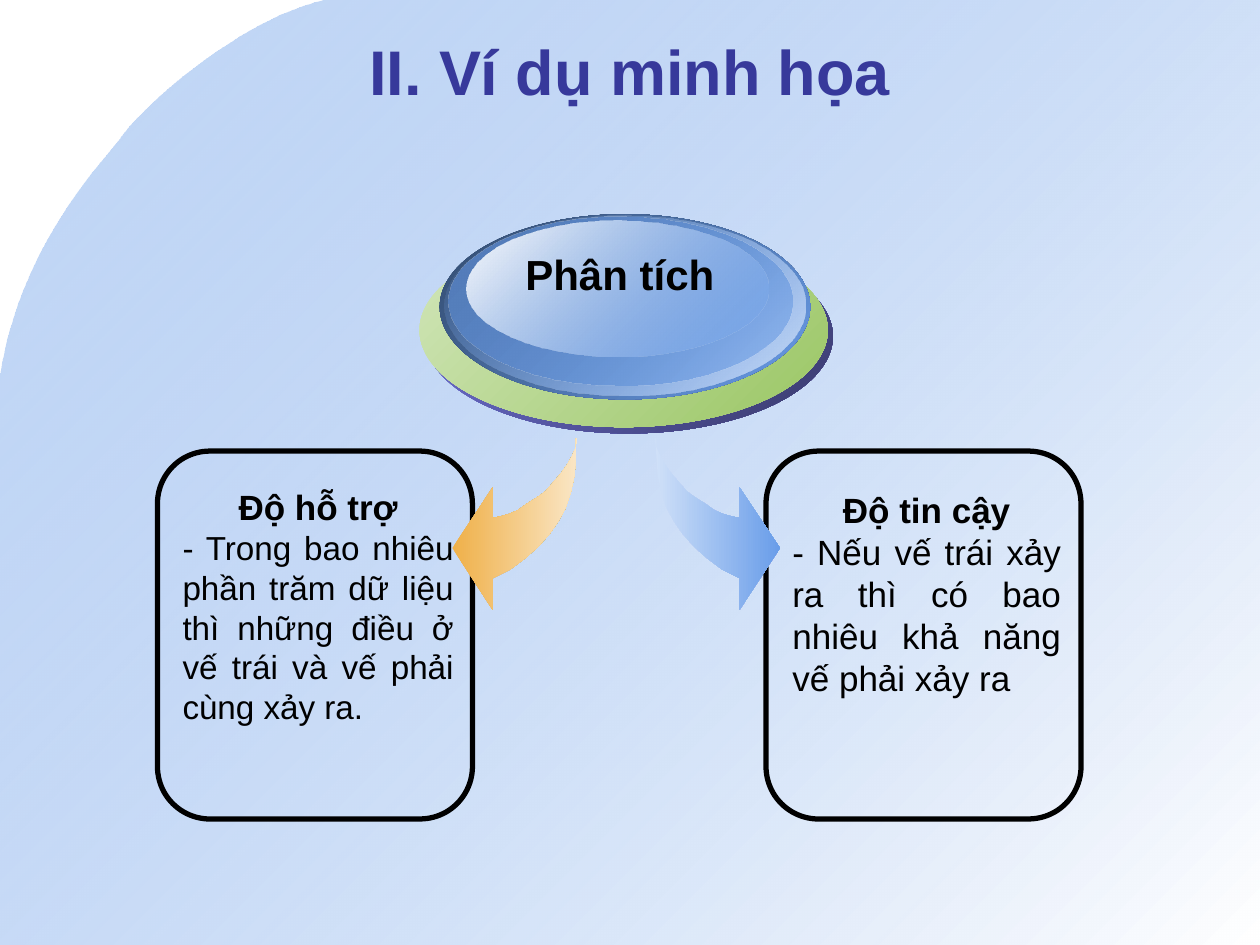
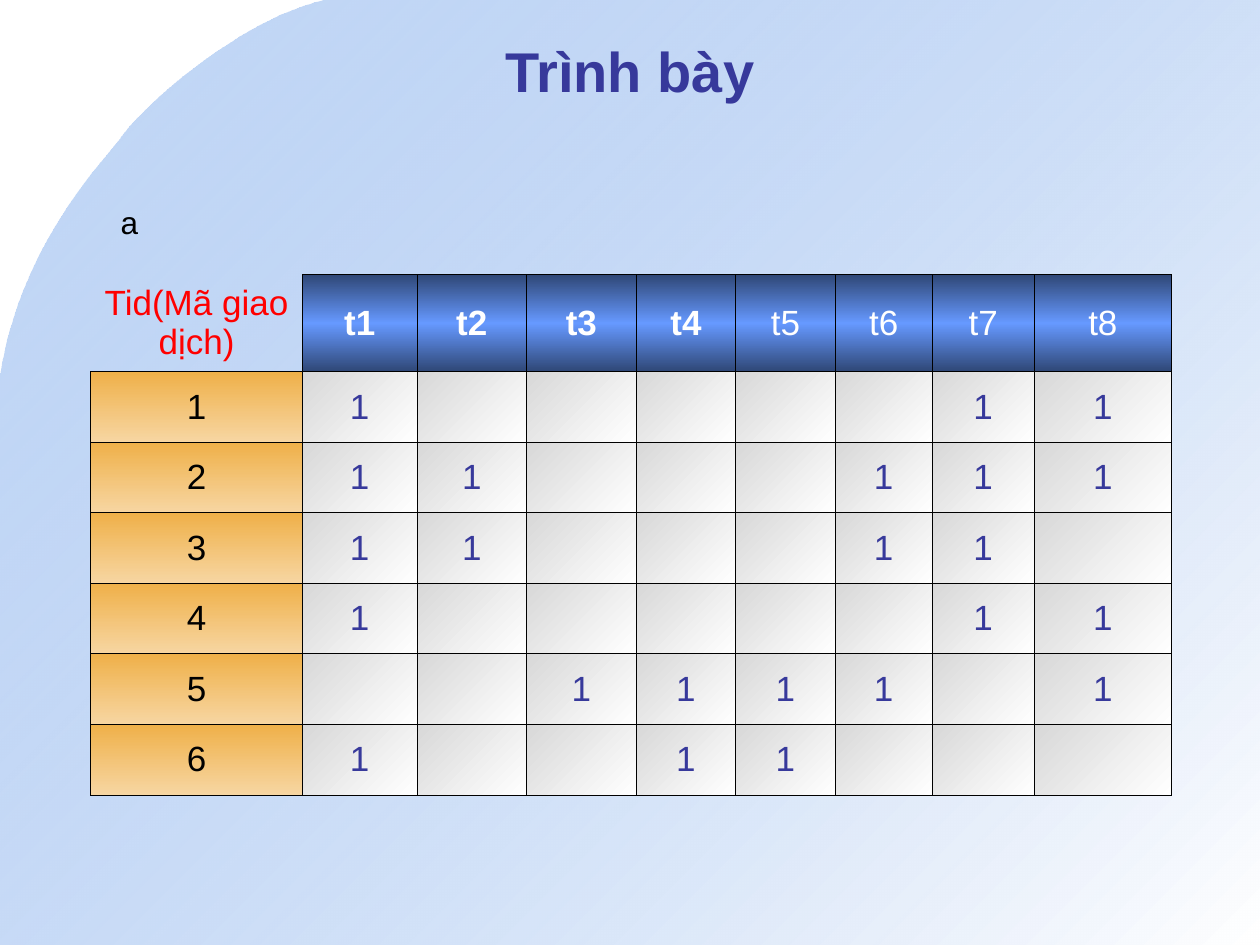
from pptx import Presentation
from pptx.dml.color import RGBColor as Rgb
from pptx.enum.shapes import MSO_SHAPE as Kind
from pptx.enum.text import MSO_ANCHOR as Anchor, PP_ALIGN as Align
from pptx.oxml import parse_xml
from pptx.oxml.ns import nsdecls, qn
from pptx.util import Emu, Inches, Pt

WIDE, HIGH = Inches(10), Inches(7.5)
COLS, ROWS = 100, 75
UNIT = WIDE / COLS
FONT = "Arial"
NO_STYLE = "{2D5ABB26-0587-4C30-8999-92F81FD0307C}"

HUES = {
    "title": "37399B", "ink": "000000", "white": "FFFFFF", "red": "FF0000",
    "sky": "699DE9", "pale": "CFE0F8", "mist": "CBDDF7", "steel": "537CB9",
    "deep": "31496C", "violet": "7476DC", "night": "38396B",
    "leaf": "9AC664", "mint": "D2E6BA", "amber": "EFB049",
    "cream": "FAE6C5", "sand": "F7D6A2", "navy": "2F4776",
    "bright": "6699FF", "gray": "D8D8D8",
}

ARROW = [
    (45.8, 34.8), (45.7, 36.3), (45.6, 37.7), (45.3, 39.1), (44.9, 40.3),
    (44.3, 41.4), (43.6, 42.4), (42.7, 43.4), (41.7, 44.3), (40.5, 45.2),
    (39.1, 45.9), (39.1, 48.4), (35.9, 43.5), (39.1, 38.7), (39.1, 41.1),
    (39.7, 41), (40.4, 40.8), (41.1, 40.5), (41.8, 40), (42.6, 39.5),
    (43.3, 39), (43.9, 38.3), (44.5, 37.6), (45, 36.9), (45.4, 36.2),
    (45.7, 35.5), (45.7, 34.8),
]
AXIS = 48.9

DISCS = [
    ((33.7, 19, 32.4, 15.4), [("violet", 100), ("night", 100)]),
    ((33.3, 18.5, 32.4, 15.4), [("mint", 100), ("leaf", 100)]),
    ((34.9, 17, 29.4, 14.7), [("deep", 100), ("sky", 100)]),
    ((35.3, 17.1, 28.6, 14.3), [("sky", 0), ("mist", 100)]),
    ((35.6, 17.2, 27.3, 13.4), [("steel", 100), ("sky", 48)]),
    ((37, 17.5, 24, 10.8), [("white", 100), ("sky", 38)]),
]

HEADS = ["t1", "t2", "t3", "t4", "t5", "t6", "t7", "t8"]
BASKETS = [{1, 7, 8}, {1, 2, 6, 7, 8}, {1, 2, 6, 7},
           {1, 7, 8}, {3, 4, 5, 6, 8}, {1, 4, 5}]
SPANS = [16.8, 9.1, 8.7, 8.7, 7.9, 7.9, 7.7, 8.1, 10.9]


def grid(*cells):
    return [Emu(round(n * UNIT)) for n in cells]


def blend(item, root, stops, angle):
    item.fill.gradient()
    item.fill.gradient_angle = -angle % 360
    ramp = next(root.iter(qn("a:gsLst")))
    for stop in list(ramp):
        ramp.remove(stop)
    for i, (hue, alpha) in enumerate(stops):
        pos = round(100000 * i / (len(stops) - 1))
        ramp.append(parse_xml(
            f'<a:gs {nsdecls("a")} pos="{pos}"><a:srgbClr val="{HUES[hue]}">'
            f'<a:alpha val="{alpha * 1000}"/></a:srgbClr></a:gs>'))


def paint(shape, stops, angle):
    shape.shadow.inherit = False
    shape.line.fill.background()
    blend(shape, shape._element.spPr, stops, angle)


def style(para, size, hue="ink", bold=False, align=Align.CENTER):
    para.alignment = align
    for run in para.runs:
        font = run.font
        font.name, font.size, font.bold = FONT, Pt(size), bold
        font.color.rgb = Rgb.from_string(HUES[hue])


def label(slide, box, text, wrap=True):
    frame = slide.shapes.add_textbox(*grid(*box)).text_frame
    frame.word_wrap = wrap
    frame.text = text
    return frame


def title(slide, text, size):
    frame = label(slide, (5, 2.5, 90, 6.2), text)
    frame.vertical_anchor = Anchor.MIDDLE
    style(frame.paragraphs[0], size, "title", True)


def outline(slide, points):
    first, *rest = [grid(*point) for point in points]
    pen = slide.shapes.build_freeform(*first)
    pen.add_line_segments(rest, close=True)
    return pen.convert_to_shape()


def curve(a, b, c, d, steps=24):
    for i in range(1, steps + 1):
        t = i / steps
        u = 1 - t
        yield tuple(u**3 * p + 3 * u * u * t * q + 3 * u * t * t * r + t**3 * s
                    for p, q, r, s in zip(a, b, c, d))


def wave(deck, slide):
    top, bend, edge = (25.8, 0), (9.8, 10.7), (0, 30.1)
    points = [top, *curve(top, (19, 1.6), (11.6, 8.3), bend),
              *curve(bend, (8, 13.2), (1.6, 19.4), edge),
              (0, ROWS), (COLS, ROWS), (COLS, 0)]
    shape = outline(slide, points)
    paint(shape, [("sky", 39), ("white", 100)], 45)
    deck.slide_master.shapes._spTree.insert(2, shape._element)


def panel(slide, left):
    shape = slide.shapes.add_shape(
        Kind.ROUNDED_RECTANGLE, *grid(left, 35.8, 25, 29.2))
    shape.shadow.inherit = False
    shape.fill.background()
    shape.line.color.rgb = Rgb.from_string(HUES["ink"])
    shape.line.width = Pt(3)


def note(slide, box, head, body, size):
    frame = label(slide, box, head)
    style(frame.paragraphs[0], 20, bold=True)
    para = frame.add_paragraph()
    para.text = body
    style(para, size, align=Align.JUSTIFY)


def disc(slide, box, stops):
    paint(slide.shapes.add_shape(Kind.OVAL, *grid(*box)), stops, 45)


def rule(cell, sides):
    props = cell._tc.get_or_add_tcPr()
    for side in sides:
        props.append(parse_xml(
            f'<a:ln{side} {nsdecls("a")} w="5715"><a:solidFill>'
            f'<a:srgbClr val="{HUES["ink"]}"/></a:solidFill></a:ln{side}>'))


def fill(cell, text, hue, stops=None, angle=90, bold=False):
    rule(cell, "LRTB" if stops else "RB")
    if stops:
        blend(cell, cell._tc, [(name, 100) for name in stops], angle)
    else:
        cell.fill.background()
    cell.vertical_anchor = Anchor.MIDDLE
    cell.text = text
    style(cell.text_frame.paragraphs[0], 20, hue, bold)


def matrix(slide):
    table = slide.shapes.add_table(
        len(BASKETS) + 1, len(SPANS), *grid(7.2, 21.8, sum(SPANS), 41.3)).table
    table.first_row = table.horz_banding = False
    next(table._tbl.iter(qn("a:tableStyleId"))).text = NO_STYLE
    for col, span in zip(table.columns, grid(*SPANS)):
        col.width = span
    for row, tall in zip(table.rows, grid(7.7, *[5.6] * len(BASKETS))):
        row.height = tall
    fill(table.cell(0, 0), "Tid(Mã giao dịch)", "red")
    for c, head in enumerate(HEADS, 1):
        fill(table.cell(0, c), head, "white", ("navy", "bright", "navy"),
             bold=c <= 4)
    for r, basket in enumerate(BASKETS, 1):
        fill(table.cell(r, 0), str(r), "ink", ("amber", "sand"))
        for c in range(1, len(SPANS)):
            fill(table.cell(r, c), "1" if c in basket else "", "title",
                 ("gray", "white"), 45)


def study(slide):
    title(slide, "II. Ví dụ minh họa", 36)
    for left in (60.8, 12.5):
        panel(slide, left)
    note(slide, (13.5, 38, 23.5, 20.2), "Độ hỗ trợ",
         "- Trong bao nhiêu phần trăm dữ liệu thì những điều ở vế trái "
         "và vế phải cùng xảy ra.", 19)
    paint(outline(slide, ARROW), [("amber", 100), ("cream", 100)], 0)
    twin = [(2 * AXIS - x, y) for x, y in ARROW]
    paint(outline(slide, twin), [("pale", 100), ("sky", 100)], 0)
    for box, stops in DISCS:
        disc(slide, box, stops)
    hub = label(slide, (40.7, 19.2, 17, 5), "Phân tích", wrap=False)
    style(hub.paragraphs[0], 24, bold=True)
    note(slide, (61.9, 38.3, 23.3, 17.7), "Độ tin cậy",
         "- Nếu vế trái xảy ra thì có bao nhiêu khả năng vế phải xảy ra", 20)


def layout(slide):
    title(slide, "Trình bày", 32)
    matrix(slide)
    frame = label(slide, (8.6, 15.6, 6.3, 4), "a")
    style(frame.paragraphs[0], 18, align=Align.LEFT)


def main():
    deck = Presentation()
    deck.slide_width, deck.slide_height = WIDE, HIGH
    blank = deck.slide_layouts[6]
    first, second = [deck.slides.add_slide(blank) for _ in range(2)]
    wave(deck, first)
    study(first)
    layout(second)
    deck.save("out.pptx")


if __name__ == "__main__":
    main()
